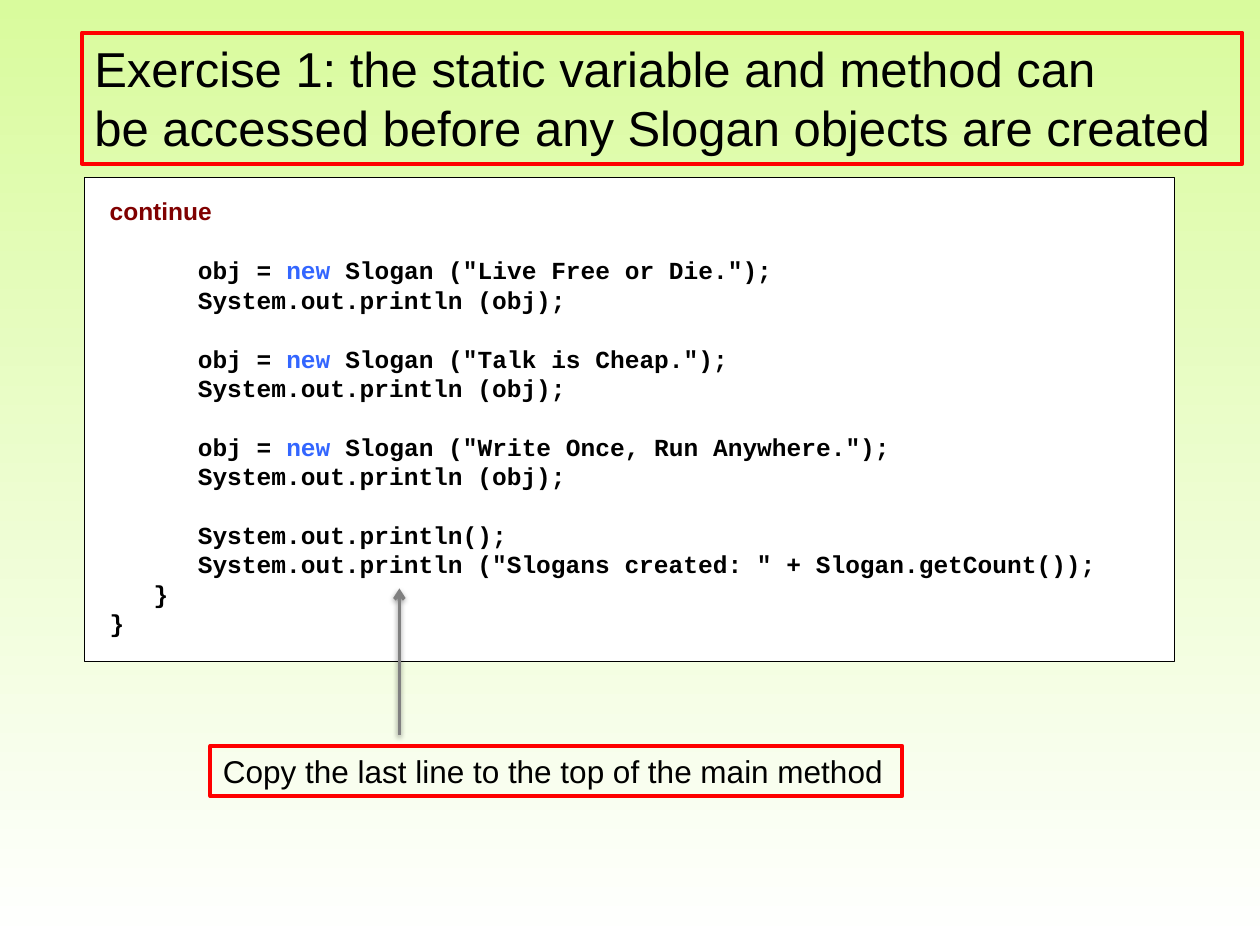
from dataclasses import dataclass

import pptx
import pptx.dml.color
import pptx.enum.shapes
import pptx.enum.text
import pptx.oxml
import pptx.oxml.ns
import pptx.util
from pptx.util import Inches


@dataclass(frozen=True)
class Theme:
    background: tuple[str, str] = ("D9FB9D", "FFFFFF")
    paper: str = "FFFFFF"
    ink: str = "000000"
    heading: str = "800000"
    keyword: str = "3366FF"
    accent: str = "FF0000"
    arrow: str = "808080"
    sans: str = "Arial"
    mono: str = "Courier New"
    title_size: float = 28
    callout_size: float = 18
    code_size: float = 14
    leading: float = 1.2


@dataclass(frozen=True)
class Box:
    left: float
    top: float
    width: float
    height: float
    line: str
    line_width: float
    fill: str | None = None
    inset: tuple[float, float] = (0.1, 0.05)


@dataclass(frozen=True)
class CodeLine:
    text: str
    indent: int = 0
    gap: bool = False


THEME = Theme()
KEYWORD = "new "
CHAR_WIDTH = THEME.code_size * 0.6  # Courier New advance, in points

TITLE = Box(0.65, 0.26, 9.21, 1.04, THEME.accent, 2.25)
LISTING = Box(0.67, 1.41, 8.65, 3.84, THEME.ink, 0.75, THEME.paper, (0.2, 0.15))
CALLOUT = Box(1.67, 5.92, 5.49, 0.4, THEME.accent, 2.25)

TITLE_LINES = (
    "Exercise 1: the static variable and method can",
    "be accessed before any Slogan objects are created",
)
SLOGANS = ("Live Free or Die.", "Talk is Cheap.", "Write Once, Run Anywhere.")
CODE = [
    line
    for slogan in SLOGANS
    for line in (
        CodeLine(f'obj = new Slogan ("{slogan}");', 6, gap=True),
        CodeLine("System.out.println (obj);", 6),
    )
] + [
    CodeLine("System.out.println();", 6, gap=True),
    CodeLine('System.out.println ("Slogans created: " + Slogan.getCount());', 6),
    CodeLine("}", 3),
    CodeLine("}"),
]


def rgb(value: str) -> pptx.dml.color.RGBColor:
    return pptx.dml.color.RGBColor.from_string(value)


def paint_background(slide) -> None:
    fill = slide.background.fill
    fill.gradient()
    fill.gradient_angle = 270
    for stop, color, position in zip(fill.gradient_stops, THEME.background, (0, 1)):
        stop.color.rgb = rgb(color)
        stop.position = position


def add_box(slide, box: Box):
    """Draw a framed text box and return its text frame."""
    frame = slide.shapes.add_textbox(
        Inches(box.left), Inches(box.top), Inches(box.width), Inches(box.height)
    )
    frame.line.color.rgb = rgb(box.line)
    frame.line.width = pptx.util.Pt(box.line_width)
    if box.fill:
        frame.fill.solid()
        frame.fill.fore_color.rgb = rgb(box.fill)
    text = frame.text_frame
    text.word_wrap = True
    text.margin_left = text.margin_right = Inches(box.inset[0])
    text.margin_top = text.margin_bottom = Inches(box.inset[1])
    text.vertical_anchor = pptx.enum.text.MSO_ANCHOR.TOP
    return text


def add_paragraph(text_frame, size: float, *, gap: bool = False, indent: int = 0):
    """Start a line; gap leaves one line above it, indent counts code characters."""
    first = text_frame.paragraphs[0]
    paragraph = text_frame.add_paragraph() if first.runs else first
    leading = pptx.util.Pt(size * THEME.leading)
    paragraph.line_spacing = leading
    if gap:
        paragraph.space_before = leading
    if indent:
        properties = paragraph._p.get_or_add_pPr()
        properties.set("marL", str(int(pptx.util.Pt(indent * CHAR_WIDTH))))
        properties.set("indent", "0")
    return paragraph


def add_text(paragraph, text: str, *, size: float, font: str = THEME.sans,
             color: str = THEME.ink, bold: bool = False) -> None:
    run = paragraph.add_run()
    run.text = text
    run.font.size = pptx.util.Pt(size)
    run.font.name = font
    run.font.bold = bold
    run.font.color.rgb = rgb(color)


def add_code_line(text_frame, line: CodeLine) -> None:
    size = THEME.code_size
    paragraph = add_paragraph(text_frame, size, gap=line.gap, indent=line.indent)
    before, keyword, after = line.text.partition(KEYWORD)
    for part, color in ((before, THEME.ink), (keyword, THEME.keyword), (after, THEME.ink)):
        if part:
            add_text(paragraph, part, size=size, font=THEME.mono, color=color, bold=True)


def add_arrow(slide, x: float, start: float, end: float) -> None:
    """Draw a vertical arrow with a soft shadow, pointing at end."""
    arrow = slide.shapes.add_connector(
        pptx.enum.shapes.MSO_CONNECTOR.STRAIGHT,
        Inches(x), Inches(start), Inches(x), Inches(end),
    )
    arrow.line.color.rgb = rgb(THEME.arrow)
    arrow.line.width = pptx.util.Pt(2)
    namespace = pptx.oxml.ns.nsdecls("a")
    arrow.line._get_or_add_ln().append(
        pptx.oxml.parse_xml(f'<a:tailEnd {namespace} type="arrow"/>')
    )
    blur, distance = int(pptx.util.Pt(3.1)), int(pptx.util.Pt(1.6))
    arrow._element.spPr.append(pptx.oxml.parse_xml(
        f'<a:effectLst {namespace}>'
        f'<a:outerShdw blurRad="{blur}" dist="{distance}" dir="5400000" rotWithShape="0">'
        f'<a:srgbClr val="{THEME.ink}"><a:alpha val="38000"/></a:srgbClr>'
        '</a:outerShdw></a:effectLst>'
    ))


def main() -> None:
    presentation = pptx.Presentation()
    presentation.slide_width = Inches(10)
    presentation.slide_height = Inches(7.5)
    slide = presentation.slides.add_slide(presentation.slide_layouts[6])
    paint_background(slide)

    listing = add_box(slide, LISTING)
    add_text(add_paragraph(listing, THEME.code_size), "continue",
             size=THEME.code_size, color=THEME.heading, bold=True)
    for line in CODE:
        add_code_line(listing, line)

    callout = add_box(slide, CALLOUT)
    add_text(add_paragraph(callout, THEME.callout_size),
             "Copy the last line to the top of the main method", size=THEME.callout_size)
    add_arrow(slide, 3.17, 5.83, 4.67)

    title = add_box(slide, TITLE)
    for line in TITLE_LINES:
        add_text(add_paragraph(title, THEME.title_size), line, size=THEME.title_size)

    presentation.save("out.pptx")


if __name__ == "__main__":
    main()
